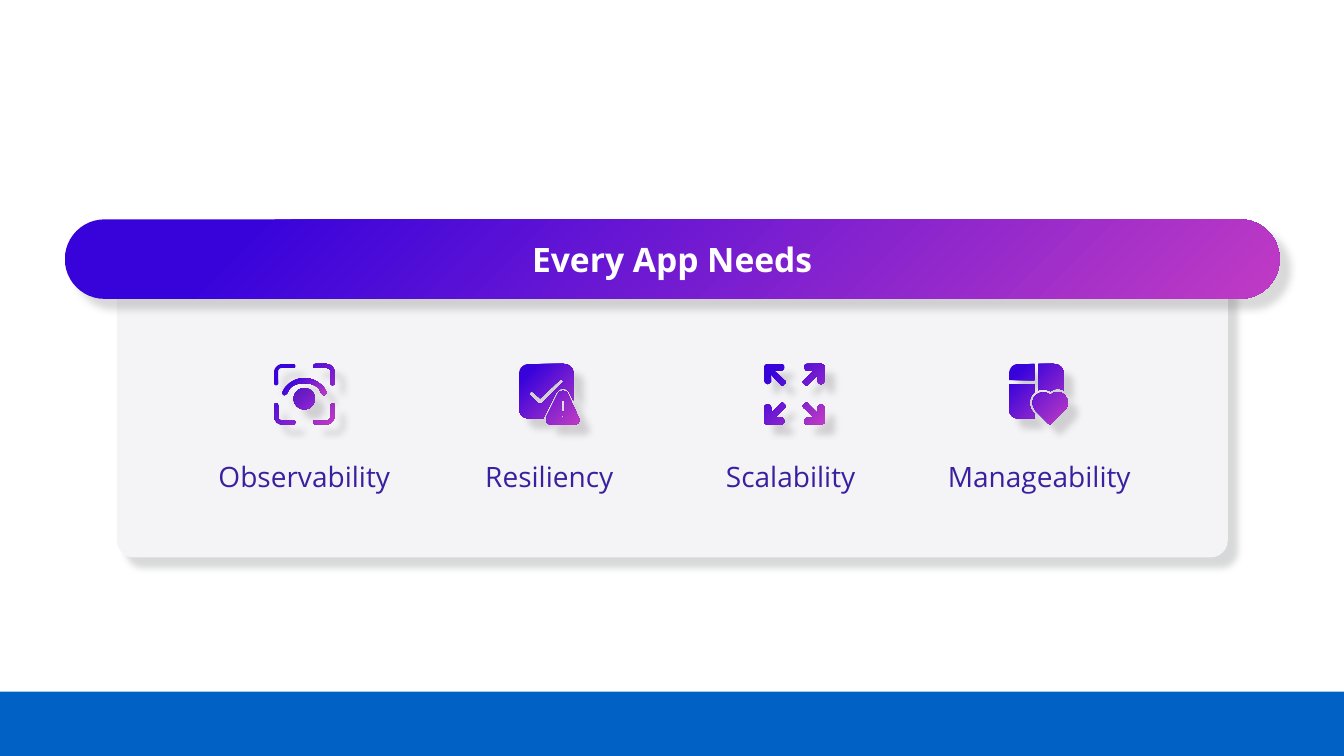
"""Build the slide "Every App Needs" with four icons and labels."""
from lxml import etree
from pptx import Presentation
from pptx import util as u
from pptx.dml.color import RGBColor
from pptx.enum import shapes, text
from pptx.oxml import ns, parse_xml

HEADING = "Every App Needs"
FONT = "Open Sans"
WHITE, BAND, PANEL, LABEL = "FFFFFF", "0261C4", "F4F3F5", "3A20A0"
PINK, VIOLET = "C03BC4", "3803DB"
PANEL_SHADOW, DARK_SHADOW = ("B1B3B3", 50), ("454142", 20)

FOCUS_CORNER = ("M 4 41 C 4 40 3 39 2 39 C 1 39 0 40 0 41 L 0 52 C 0 56 4 60 8 60 L 19 60 "
                "C 20 60 21 59 21 58 C 21 56 20 56 19 56 L 8 56 C 6 56 4 55 4 52")
PUPIL = ("M 19.5 34.5 C 19.5 28.7 24.2 24 30 24 C 35.8 24 40.5 28.7 40.5 34.5 "
         "C 40.5 40.3 35.8 45 30 45 C 24.2 45 19.5 40.3 19.5 34.5")
EYELID = ("M 13 29 C 12 30 11 31 10 31 C 8 30 8 28 8 28 L 9 27 C 10 24 12 22 13 21 "
          "C 16 18 22 14 30 14 C 38 14 44 18 47 21 C 49 23 50 24 51 27 L 52 28 "
          "C 52 29 51 30 50 31 C 49 31 48 30 47 29 C 46 27 45 25 44 24 "
          "C 41 21 37 19 30 19 C 23 19 19 21 16 24 C 15 25 14 27 13 29")
CHECK_TILE = ("M 10 0 C 4 0 0 4 0 10 L 0 44 C 0 50 4 54 10 54 L 24 54 C 24 53 24 53 25 52 "
              "L 37 28 C 40 23 47 23 50 28 L 54 36 L 54 10 C 54 4 50 0 44 0")
CHECK = ("M 43 19 L 23 39 C 22 40 20 40 19 39 L 11 31 C 10 30 10 29 11 28 "
         "C 12 27 13 27 14 28 L 21 34 L 40 16 C 41 15 42 15 43 16 C 44 17 44 18 43 19")
WARNING = ("M 39 29 L 27 53 C 26 56 28 60 31 60 L 55 60 C 59 60 61 56 59 53 "
           "L 48 29 C 46 26 41 26 39 29")
WARNING_BAR = ("M 45 37 L 45 46 C 45 47 44 48 43.5 48 C 43 48 42 47 42 46 L 42 37 "
               "C 42 36 45 36 45 37")
WARNING_DOT = "M 43.5 54 C 42 54 42 51 43.5 51 C 45 51 45 54 43.5 54"
ARROW = ("M 16 40 C 17 38 19 38 20 40 C 22 41 22 43 20 44 L 11 53 L 17 53 "
         "C 18 53 20 55 20 56.5 C 20 59 19 60 17 60 L 3 60 C 2 60 0 59 0 57 L 0 43 "
         "C 0 42 2 40 3.5 40 C 5 40 7 42 7 43 L 7 49")
LOWER_PANE = ("M 25 54 L 25 49 L 24 48 C 19 43 19 34 24 29 L 25 28 L 25 20 L 0 20 L 0 45 "
              "C 0 50 4 54 9 54")
RIGHT_PANE = ("M 54 10 L 54 26 C 50 24 45 24 41 27 C 37 25 33 24 29 26 L 29 0 L 44 0 "
              "C 50 0 54 4 54 9")
HEART = ("M 25 44 C 23 41 23 36 25 33 C 30 27 36 27 41 31 C 45 27 50 27 54 30 "
         "C 60 35 59 42 55 46 L 42 59 C 41 60 40 60 39 59 L 26 46")
UPPER_PANE = "M 25 16 L 25 0 L 9 0 C 4 0 0 4 0 10 L 0 16"

# label, label width, icon parts as (mirrored outline, plain outlines)
NEEDS = [
    ("Observability", 144, [(FOCUS_CORNER, [PUPIL]), (None, [EYELID])]),
    ("Resiliency", 144, [(None, [CHECK_TILE, CHECK, WARNING, WARNING_BAR, WARNING_DOT])]),
    ("Scalability ", 144, [(ARROW, [])]),
    ("Manageability", 158, [(None, [LOWER_PANE, RIGHT_PANE, HEART, UPPER_PANE])]),
]
FIRST_CENTER, COLUMN_STEP = 217.4, 175
ICON_TOP, ICON_SIZE, LABEL_TOP = 260, 43.2, 324.7
GRID, FINE, CURVE_STEPS = 60, 100, 8


def color(value):
    """Return the colour of a hex string."""
    return RGBColor.from_string(value)


def outline_points(outline):
    """Turn an outline of moves, lines and curves into points."""
    points = []
    for command in outline.replace("L", "|").replace("C", "|").replace("M", "").split("|"):
        numbers = [float(number) for number in command.split()]
        pairs = list(zip(numbers[::2], numbers[1::2]))
        if len(pairs) == 1:
            points += pairs
            continue
        curve = [points[-1]] + pairs
        for step in range(1, CURVE_STEPS + 1):
            t = step / CURVE_STEPS
            weights = ((1 - t) ** 3, 3 * t * (1 - t) ** 2, 3 * t * t * (1 - t), t ** 3)
            points.append(tuple(sum(w * p[axis] for w, p in zip(weights, curve))
                                for axis in (0, 1)))
    return points


def mirrored(points):
    """Return the points in all four corners of the icon grid."""
    return [[(GRID - x if flip_x else x, GRID - y if flip_y else y) for x, y in points]
            for flip_x in (False, True) for flip_y in (False, True)]


def style(shape, fill=None, shadow=None):
    """Give a shape a plain or gradient fill, no line and an optional shadow."""
    shape.line.fill.background()
    shape.shadow.inherit = False
    properties = shape._element.spPr
    if fill:
        shape.fill.solid()
        shape.fill.fore_color.rgb = color(fill)
    else:
        properties.find(ns.qn("a:ln")).addprevious(parse_xml(
            f'<a:gradFill {ns.nsdecls("a")} rotWithShape="1"><a:gsLst>'
            f'<a:gs pos="0"><a:srgbClr val="{PINK}"/></a:gs>'
            f'<a:gs pos="85000"><a:srgbClr val="{VIOLET}"/></a:gs></a:gsLst>'
            '<a:path path="circle"><a:fillToRect l="100000" t="100000"/></a:path>'
            '<a:tileRect r="-100000" b="-100000"/></a:gradFill>'))
    if shadow:
        effects = properties.find(ns.qn("a:effectLst"))
        outer = etree.SubElement(effects, ns.qn("a:outerShdw"), blurRad=str(u.Pt(5)),
                                 dist=str(u.Pt(10)), dir="2700000", algn="tl", rotWithShape="0")
        tint = etree.SubElement(outer, ns.qn("a:srgbClr"), val=shadow[0])
        etree.SubElement(tint, ns.qn("a:alpha"), val=str(shadow[1] * 1000))


def add_box(page, kind, place, fill=None, shadow=None, corner=None):
    """Add a preset shape at a place given in points."""
    box = page.shapes.add_shape(kind, *(u.Pt(length) for length in place))
    if corner is not None:
        box.adjustments[0] = corner
    style(box, fill, shadow)
    return box


def add_icon_part(page, left, outlines):
    """Add one freeform made of closed outlines."""
    fine = [[(x * FINE, y * FINE) for x, y in outline] for outline in outlines]
    builder = page.shapes.build_freeform(*fine[0][0], scale=u.Pt(ICON_SIZE) / GRID / FINE)
    for index, points in enumerate(fine):
        if index:
            builder.move_to(*points[0])
        builder.add_line_segments(points[1:], close=True)
    style(builder.convert_to_shape(u.Pt(left), u.Pt(ICON_TOP)), shadow=DARK_SHADOW)


def write(box, words, size, ink, bold=False):
    """Write one centred line of text."""
    para = box.text_frame.paragraphs[0]
    para.alignment = text.PP_ALIGN.CENTER
    span = para.add_run()
    span.text = words
    span.font.name, span.font.size, span.font.bold = FONT, u.Pt(size), bold
    span.font.color.rgb = color(ink)


def main():
    """Build and save the deck."""
    deck = Presentation()
    deck.slide_width, deck.slide_height = u.Pt(960), u.Pt(540)
    page = deck.slides.add_slide(deck.slide_layouts[6])
    preset = shapes.MSO_SHAPE
    add_box(page, preset.RECTANGLE, (0, 494, 960, 46), BAND)
    add_box(page, preset.ROUNDED_RECTANGLE, (83.5, 187.2, 793.5, 211), PANEL, PANEL_SHADOW, 0.058)

    for column, (label, width, parts) in enumerate(NEEDS):
        center = FIRST_CENTER + column * COLUMN_STEP
        for corner, plain in parts:
            outlines = mirrored(outline_points(corner)) if corner else []
            outlines += [outline_points(outline) for outline in plain]
            add_icon_part(page, center - ICON_SIZE / 2, outlines)
        box = page.shapes.add_textbox(u.Pt(center - width / 2), u.Pt(LABEL_TOP),
                                      u.Pt(width), u.Pt(31.5))
        box.text_frame.word_wrap = True
        box.text_frame.auto_size = text.MSO_AUTO_SIZE.SHAPE_TO_FIT_TEXT
        write(box, label, 20, LABEL)

    header = add_box(page, preset.ROUNDED_RECTANGLE, (46.3, 156.7, 867.7, 56.8),
                     shadow=DARK_SHADOW, corner=0.5)
    frame = header.text_frame
    frame.margin_left = frame.margin_right = frame.margin_top = frame.margin_bottom = 0
    frame.vertical_anchor = text.MSO_ANCHOR.MIDDLE
    write(header, HEADING, 24, WHITE, True)
    deck.save("out.pptx")


if __name__ == "__main__":
    main()
